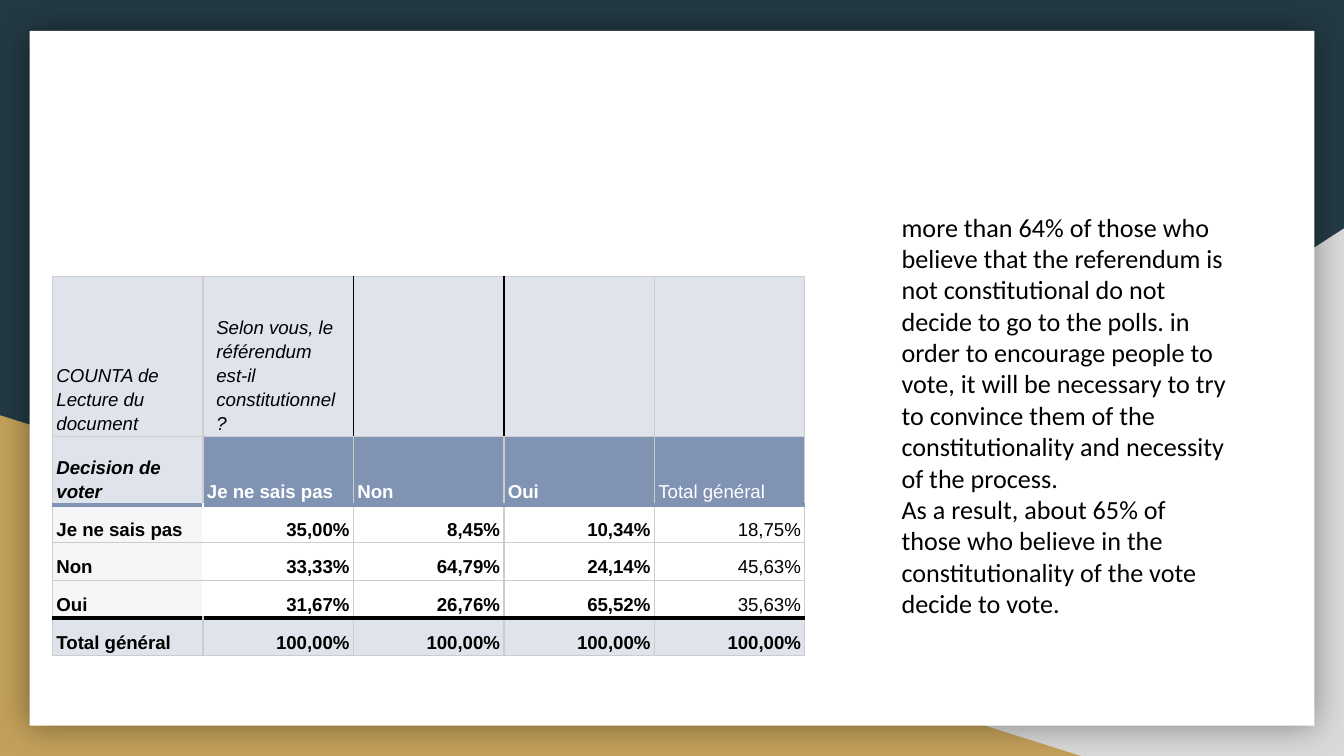
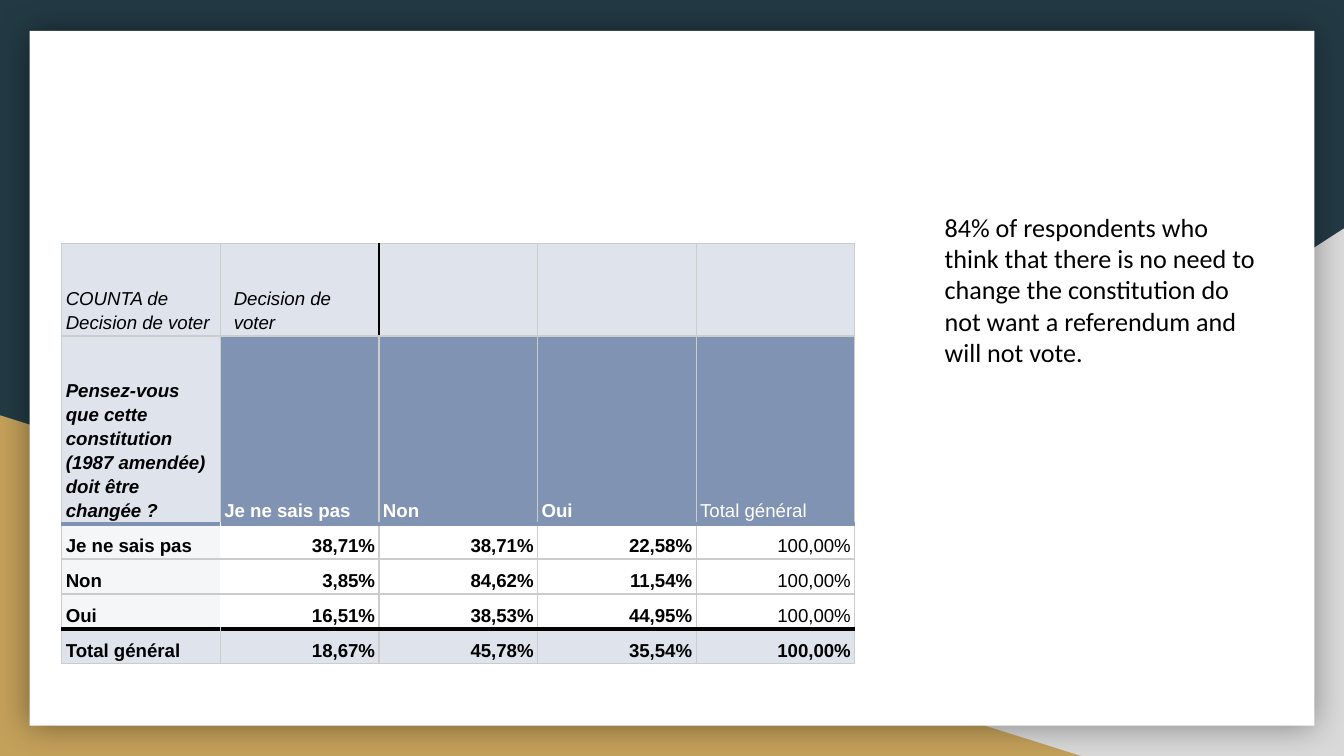
"""Builds two slides, each with a referendum survey pivot table and its reading."""
from lxml import etree
from pptx import Presentation
from pptx.dml.color import RGBColor
from pptx.enum.shapes import MSO_SHAPE as Preset
from pptx.enum.text import MSO_ANCHOR as Anchor, MSO_AUTO_SIZE as AutoSize, PP_ALIGN as Align
from pptx.oxml.ns import qn
from pptx.util import Inches, Pt

NAVY = RGBColor(0x23, 0x3A, 0x44)
SILVER = RGBColor(0xD9, 0xD9, 0xD9)
GOLD = RGBColor(0xC4, 0xA1, 0x5A)
WHITE = RGBColor(0xFF, 0xFF, 0xFF)
BLACK = RGBColor(0x00, 0x00, 0x00)
GRID = RGBColor(0xCC, 0xCC, 0xCC)
PALE_BLUE = RGBColor(0xDF, 0xE4, 0xEC)
SLATE = RGBColor(0x80, 0x93, 0xB3)
LABEL_GREY = RGBColor(0xF4, 0xF6, 0xF8)

ANSWERS = ["Je ne sais pas", "Non", "Oui", "Total général"]

FINDINGS = [
    {
        "corner": "COUNTA de Lecture du document",
        "column_question": "Selon vous, le référendum est-il constitutionnel?",
        "row_question": "Decision de voter",
        "shares": [
            ["35,00%", "8,45%", "10,34%", "18,75%"],
            ["33,33%", "64,79%", "24,14%", "45,63%"],
            ["31,67%", "26,76%", "65,52%", "35,63%"],
            ["100,00%", "100,00%", "100,00%", "100,00%"],
        ],
        "table_at": (0.39, 2.06),
        "column_width": 1.12,
        "row_heights": [1.19, 0.51] + [0.28] * 4,
        "black_dividers": [1, 2],
        "reading_at": (6.61, 1.47, 2.65, 3.5),
        "reading": [
            "more than 64% of those who believe that the referendum is not constitutional "
            "do not decide to go to the polls. in order to encourage people to vote, it will "
            "be necessary to try to convince them of the constitutionality and necessity of "
            "the process.",
            "As a result, about 65% of those who believe in the constitutionality of the vote "
            "decide to vote.",
        ],
    },
    {
        "corner": "COUNTA de Decision de voter",
        "column_question": "Decision de voter",
        "row_question": "Pensez-vous que cette constitution (1987 amendée) doit être changée ?",
        "shares": [
            ["38,71%", "38,71%", "22,58%", "100,00%"],
            ["3,85%", "84,62%", "11,54%", "100,00%"],
            ["16,51%", "38,53%", "44,95%", "100,00%"],
            ["18,67%", "45,78%", "35,54%", "100,00%"],
        ],
        "table_at": (0.46, 1.81),
        "column_width": 1.18,
        "row_heights": [0.69, 1.4] + [0.26] * 4,
        "black_dividers": [1],
        "reading_at": (6.93, 1.47, 2.53, 1.38),
        "reading": [
            "84% of respondents who think that there is no need to change the constitution "
            "do not want a referendum and will not vote.",
        ],
    },
]


def set_borders(cell, edges):
    """Give the cell its left, right, top and bottom lines as (colour, points)."""
    properties = cell._tc.get_or_add_tcPr()
    for place, (side, (color, points)) in enumerate(zip("LRTB", edges)):
        line = etree.Element(qn(f"a:ln{side}"), w=str(Pt(points)))
        paint = etree.SubElement(line, qn("a:solidFill"))
        etree.SubElement(paint, qn("a:srgbClr"), val=str(color))
        properties.insert(place, line)


prs = Presentation()
prs.slide_width = Inches(10)
prs.slide_height = prs.slide_width * 9 // 16
blank = prs.slide_layouts[6]
for placeholder in list(blank.placeholders):
    blank.shapes.element.remove(placeholder.element)
blank.background.fill.solid()
blank.background.fill.fore_color.rgb = NAVY
slides = [prs.slides.add_slide(blank) for finding in FINDINGS]

backdrop = []
for preset, box, color in [
    (Preset.RIGHT_TRIANGLE, (3.92, 1.7, 6.08, 3.93), SILVER),
    (Preset.RIGHT_TRIANGLE, (0, 3.09, 8.06, 2.54), GOLD),
    (Preset.RECTANGLE, (0.22, 0.23, 9.56, 5.17), WHITE),
]:
    part = slides[0].shapes.add_shape(preset, *map(Inches, box))
    part.fill.solid()
    part.fill.fore_color.rgb = color
    part.line.fill.background()
    part.shadow.inherit = False
    backdrop.append(part.element)

right_corner, left_corner, panel = backdrop
right_corner.spPr.find(qn("a:xfrm")).set("flipH", "1")
glow = etree.SubElement(panel.spPr.find(qn("a:effectLst")), qn("a:outerShdw"),
                        blurRad=str(Pt(18)), dist="0", dir="0", algn="ctr", rotWithShape="0")
glow_color = etree.SubElement(glow, qn("a:srgbClr"), val=str(BLACK))
etree.SubElement(glow_color, qn("a:alpha"), val="40000")
for element in backdrop:
    blank.shapes.element.append(element)

for slide, finding in zip(slides, FINDINGS):
    rows = [
        [finding["corner"], finding["column_question"], "", "", ""],
        [finding["row_question"], *ANSWERS],
        *[[answer, *shares] for answer, shares in zip(ANSWERS, finding["shares"])],
    ]
    heights = finding["row_heights"]
    width = finding["column_width"]
    left, top = finding["table_at"]
    pivot = slide.shapes.add_table(len(rows), 5, Inches(left), Inches(top),
                                   Inches(5 * width), Inches(sum(heights))).table
    pivot.first_row = pivot.horz_banding = False
    for column in pivot.columns:
        column.width = Inches(width)

    for r, texts in enumerate(rows):
        pivot.rows[r].height = Inches(heights[r])
        for c, text in enumerate(texts):
            cell = pivot.cell(r, c)
            is_answer_header = r == 1 and c > 0
            is_body = 2 <= r <= 4
            if is_answer_header:
                fill = SLATE
            elif is_body:
                fill = LABEL_GREY if c == 0 else WHITE
            else:
                fill = PALE_BLUE
            cell.fill.solid()
            cell.fill.fore_color.rgb = fill

            verticals = []
            for divider in (c - 1, c):
                if r == 0 and divider in finding["black_dividers"]:
                    verticals.append((BLACK, 0.75))
                else:
                    verticals.append((WHITE if is_body and divider == 0 else GRID, 0.75))
            rules = {2: (SLATE, 2.25), 5: (BLACK, 2.25)}
            horizontals = [rules.get(edge, (GRID, 0.75)) for edge in (r, r + 1)]
            set_borders(cell, verticals + horizontals)

            if not text:
                continue
            cell.vertical_anchor = Anchor.BOTTOM
            cell.margin_left = cell.margin_right = Inches(0.1 if (r, c) == (0, 1) else 0.03)
            cell.margin_top = cell.margin_bottom = Inches(0.02)
            cell.text = text
            paragraph = cell.text_frame.paragraphs[0]
            paragraph.line_spacing = 1.15
            paragraph.alignment = Align.RIGHT if r > 1 and c > 0 else Align.LEFT
            font = paragraph.font
            font.name, font.size = "Arial", Pt(10)
            font.color.rgb = WHITE if is_answer_header else BLACK
            font.italic = r == 0 or (r, c) == (1, 0)
            font.bold = r == 5 or (r > 0 and c < 4)

    reading = slide.shapes.add_textbox(*map(Inches, finding["reading_at"])).text_frame
    reading.word_wrap = True
    reading.auto_size = AutoSize.SHAPE_TO_FIT_TEXT
    reading.margin_left = reading.margin_right = Inches(0.1)
    reading.margin_top = reading.margin_bottom = Inches(0.1)
    reading.text = "\n".join(finding["reading"])
    for paragraph in reading.paragraphs:
        paragraph.font.name, paragraph.font.size = "Calibri", Pt(14)
        paragraph.font.color.rgb = BLACK

prs.save("out.pptx")
